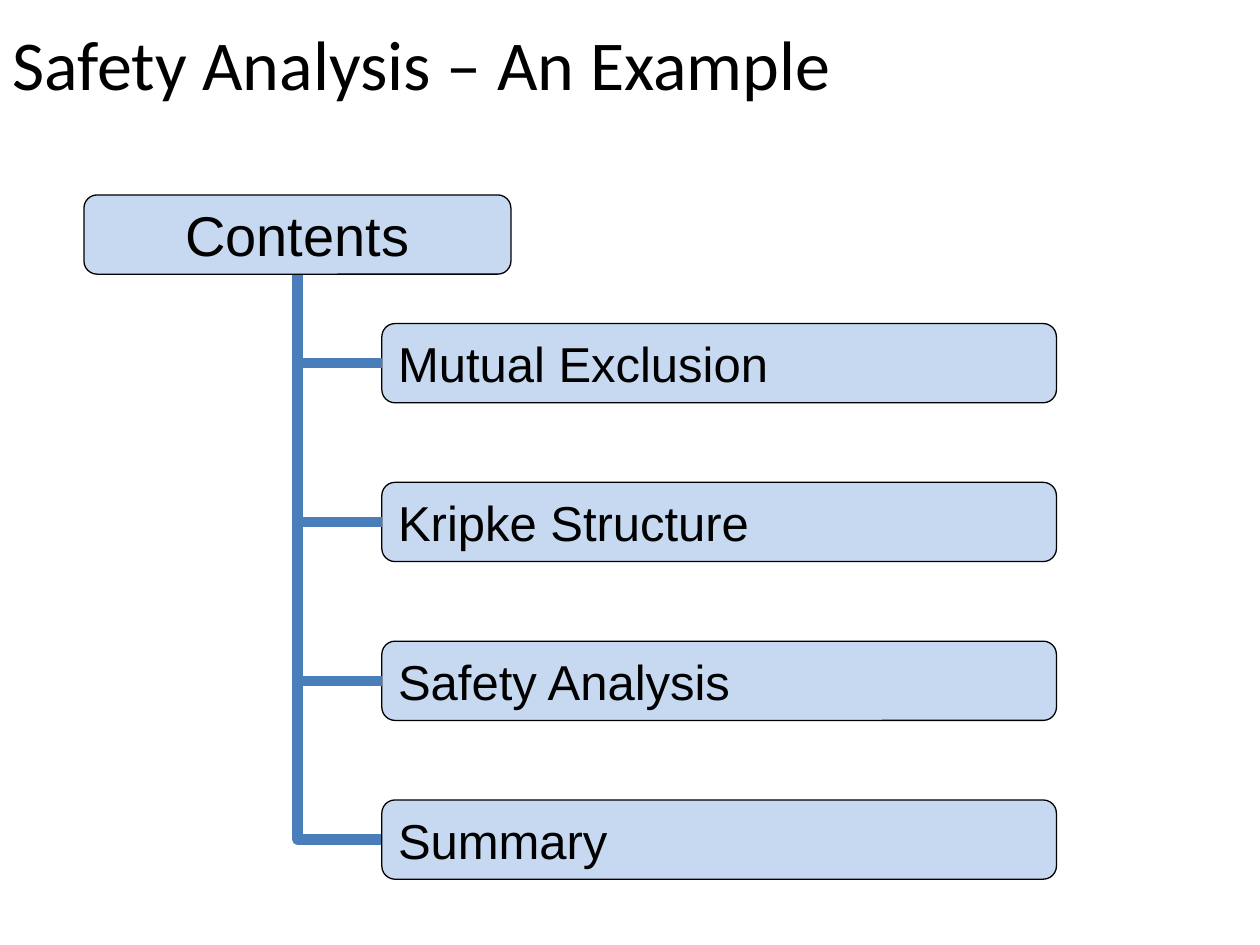
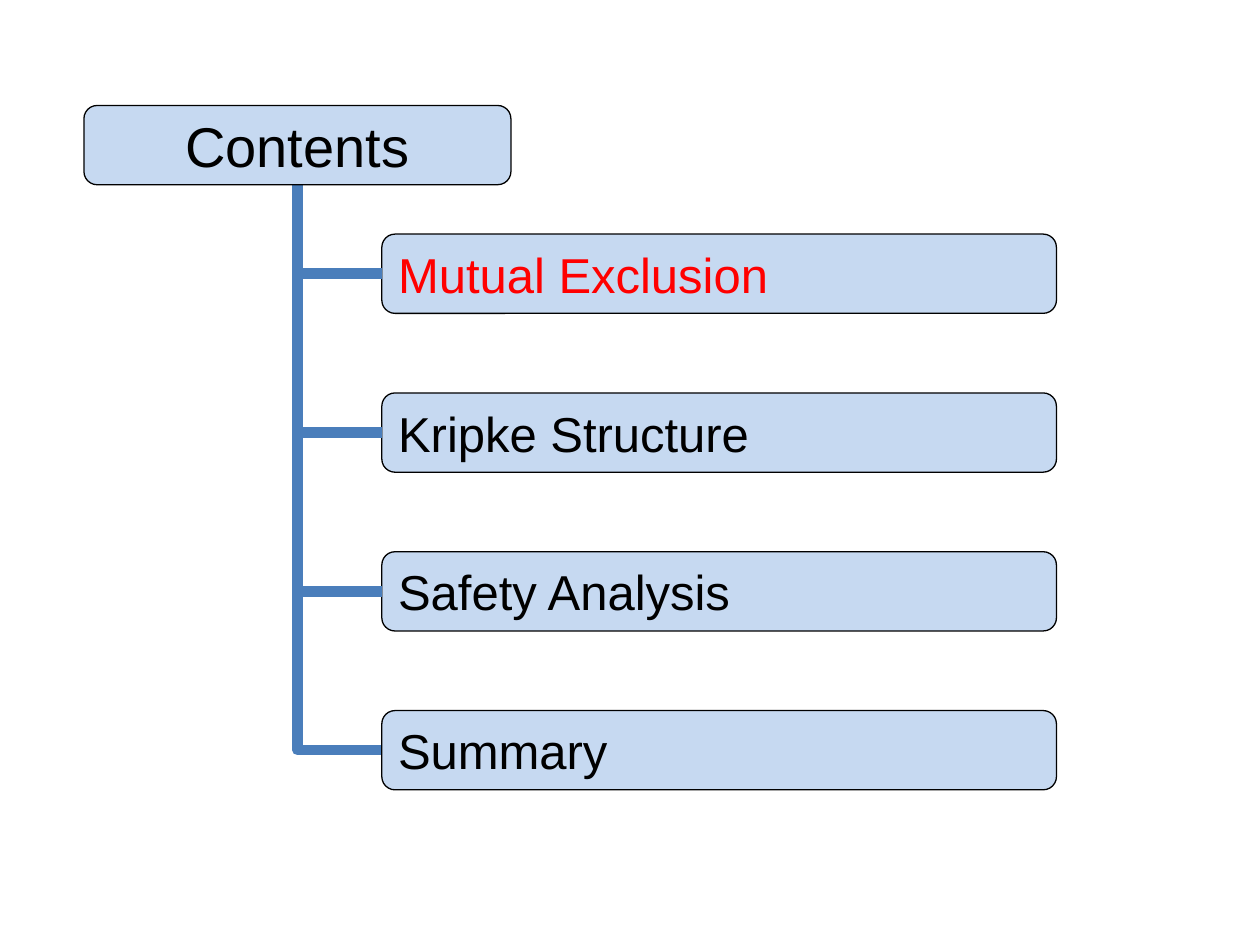
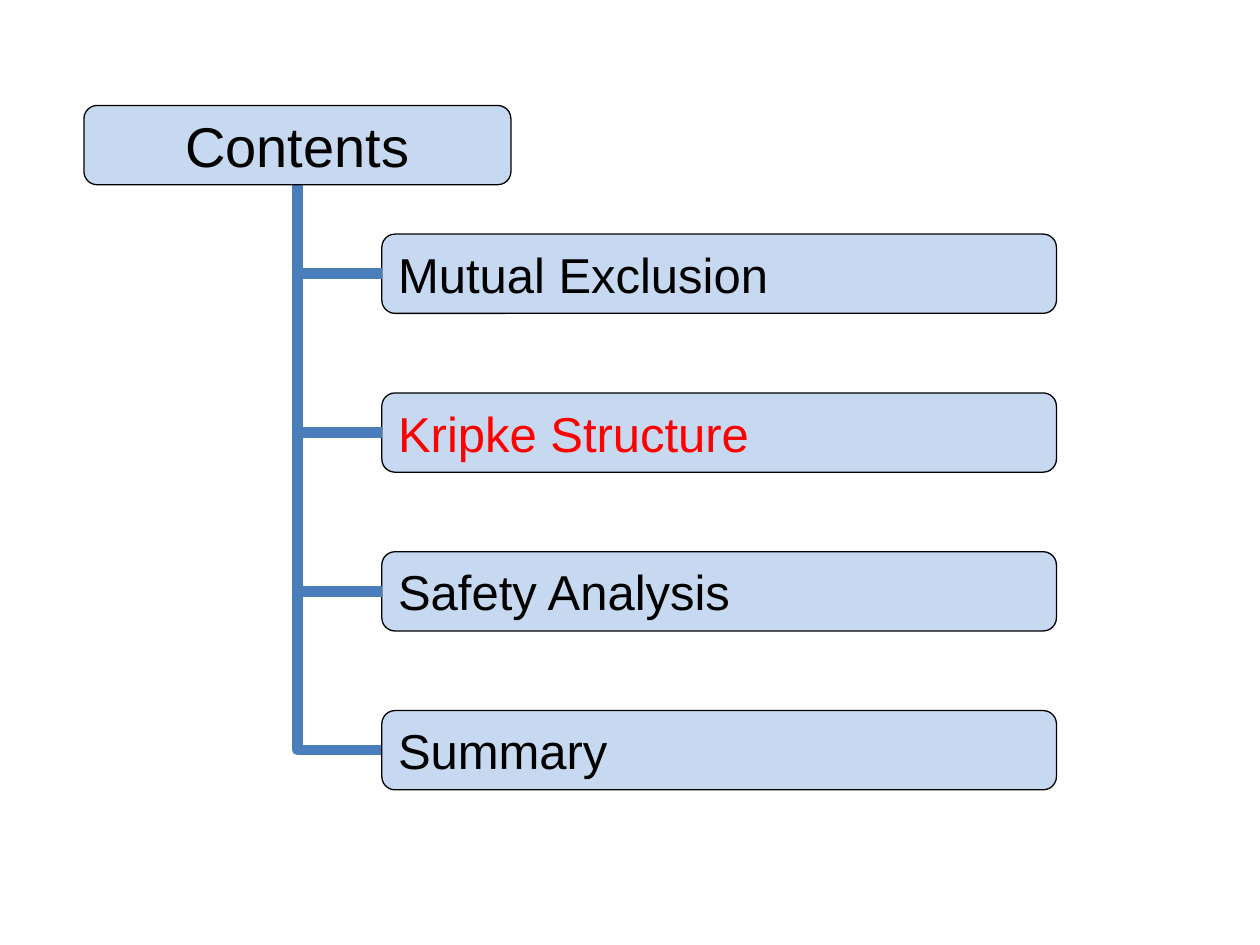
from pptx import Presentation
from pptx.dml.color import RGBColor
from pptx.enum import shapes, text
from pptx.oxml import ns
from pptx.util import Pt
from lxml import etree

TITLE = "Safety Analysis – An Example"
HEADING = "Contents"
TOPICS = ["Mutual Exclusion", "Kripke Structure", "Safety Analysis", "Summary"]
SLIDES = [
    {"title": TITLE, "top": 111.4, "current": None},
    {"title": None, "top": 60.3, "current": "Mutual Exclusion"},
    {"title": None, "top": 60.3, "current": "Kripke Structure"},
]

BLACK, RED, BOX_FILL, TREE_LINE = "000000", "FF0000", "C6D9F1", "4A7EBB"
SLIDE_WIDTH, SLIDE_HEIGHT = 720, 540
TITLE_HEIGHT = 71.3
BOX_HEIGHT = 45.3
HEADING_LEFT, HEADING_WIDTH = 48, 244
TOPIC_LEFT, TOPIC_WIDTH = 218.2, 385.5
FIRST_TOPIC_OFFSET, TOPIC_PITCH = 73.5, 90.75
TRUNK_X = HEADING_LEFT + HEADING_WIDTH / 2


def color(hex_string):
    return RGBColor.from_string(hex_string)


def write(shape, content, font_name, size, hex_color, alignment, wrap):
    frame = shape.text_frame
    frame.text = content
    frame.word_wrap = wrap
    frame.vertical_anchor = text.MSO_ANCHOR.MIDDLE
    paragraph = frame.paragraphs[0]
    paragraph.alignment = alignment
    font = paragraph.runs[0].font
    font.name, font.size = font_name, Pt(size)
    font.color.rgb = color(hex_color)


def add_title(slide, title):
    box = slide.shapes.add_textbox(0, 0, Pt(SLIDE_WIDTH), Pt(TITLE_HEIGHT))
    write(box, title, "Calibri", 40, BLACK, text.PP_ALIGN.LEFT, True)


def add_box(slide, label, left, top, width, size, hex_color, alignment):
    box = slide.shapes.add_shape(
        shapes.MSO_SHAPE.FLOWCHART_ALTERNATE_PROCESS,
        Pt(left), Pt(top), Pt(width), Pt(BOX_HEIGHT))
    box.shadow.inherit = False
    box.fill.solid()
    box.fill.fore_color.rgb = color(BOX_FILL)
    box.line.color.rgb = color(BLACK)
    box.line.width = Pt(0.75)
    write(box, label, "Arial", size, hex_color, alignment, False)


def add_elbow(slide, start_x, start_y, end_x, end_y):
    connector = slide.shapes.add_connector(
        shapes.MSO_CONNECTOR.ELBOW, Pt(start_x), Pt(start_y), Pt(end_x), Pt(end_y))
    connector.line.color.rgb = color(TREE_LINE)
    connector.line.width = Pt(6)
    etree.SubElement(connector.element.spPr, ns.qn("a:effectLst"))
    return connector


def add_trunk(slide, top, bottom):
    """Draw a single bend, down and then right, as a quarter-turned elbow."""
    length, reach = bottom - top, TOPIC_LEFT - TRUNK_X
    center_x, center_y = TRUNK_X + reach / 2, top + length / 2
    trunk = add_elbow(slide, center_x - length / 2, center_y - reach / 2,
                      center_x + length / 2, center_y + reach / 2)
    properties = trunk.element.spPr
    properties.find(ns.qn("a:prstGeom")).set("prst", "bentConnector2")
    transform = properties.find(ns.qn("a:xfrm"))
    transform.set("rot", str(270 * 60000))
    transform.set("flipH", "1")


def add_contents_tree(slide, top, current):
    topic_tops = [top + FIRST_TOPIC_OFFSET + i * TOPIC_PITCH for i in range(len(TOPICS))]
    middles = [topic_top + BOX_HEIGHT / 2 for topic_top in topic_tops]
    add_trunk(slide, top + BOX_HEIGHT, middles[-1])
    add_box(slide, HEADING, HEADING_LEFT, top, HEADING_WIDTH, 32, BLACK,
            text.PP_ALIGN.CENTER)
    for topic, topic_top in zip(TOPICS, topic_tops):
        add_box(slide, topic, TOPIC_LEFT, topic_top, TOPIC_WIDTH, 28,
                RED if topic == current else BLACK, text.PP_ALIGN.LEFT)
    for middle in middles[:-1]:
        add_elbow(slide, TRUNK_X, middle, TOPIC_LEFT, middle)


def main():
    presentation = Presentation()
    presentation.slide_width = Pt(SLIDE_WIDTH)
    presentation.slide_height = Pt(SLIDE_HEIGHT)
    for content in SLIDES:
        slide = presentation.slides.add_slide(presentation.slide_layouts[6])
        add_contents_tree(slide, content["top"], content["current"])
        if content["title"]:
            add_title(slide, content["title"])
    presentation.save("out.pptx")


if __name__ == "__main__":
    main()
